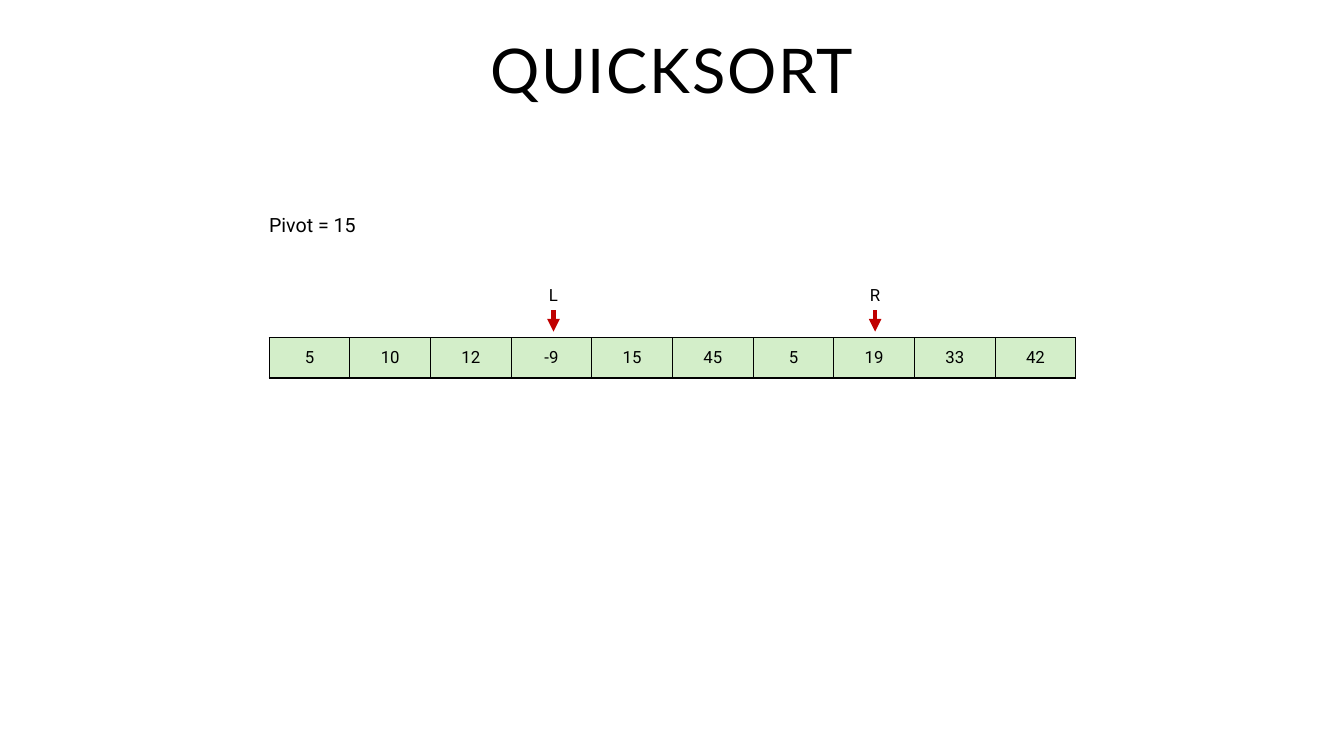
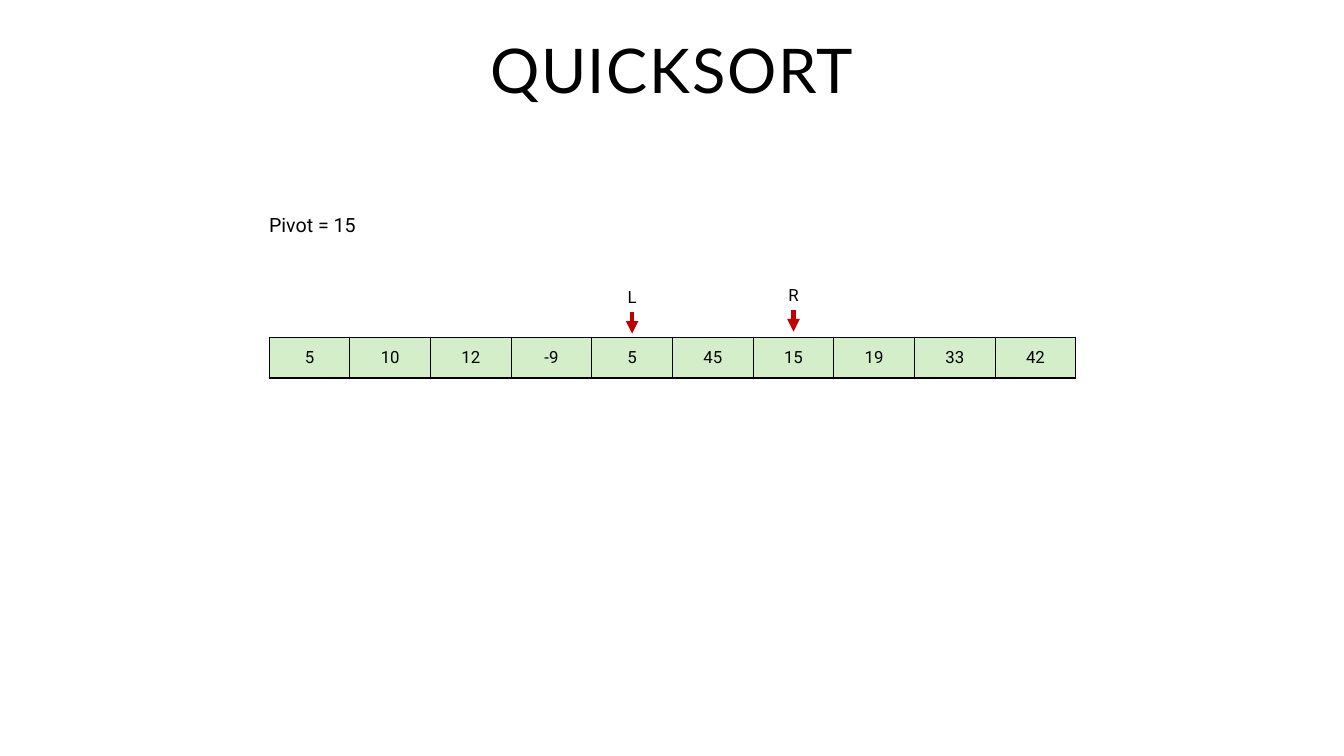
from dataclasses import dataclass

from lxml import etree
from pptx import Presentation
from pptx.dml.color import RGBColor
from pptx.enum import shapes, text
from pptx.oxml import ns
from pptx.util import Inches, Pt


@dataclass(frozen=True)
class Theme:
    """Colours, fonts and type sizes shared by the slides."""
    ink: str = "000000"
    cell: str = "D3EEC9"
    arrow: str = "C00000"
    title_font: str = "Lato"
    body_font: str = "Roboto"
    title_size: int = 44
    note_size: int = 14
    label_size: int = 12


THEME = Theme()
ARRAY_LEFT, ARRAY_TOP, CELL_W, CELL_H = 2.67, 3.35, 0.8, 0.4


def write(tf, content, size=THEME.label_size, font=THEME.body_font,
          align=text.PP_ALIGN.LEFT, spacing=None, tracking=None):
    """Write one formatted paragraph into a text frame."""
    p = tf.paragraphs[0]
    p.alignment, p.line_spacing = align, spacing
    r = p.add_run()
    r.text = content
    r.font.size, r.font.name = Pt(size), font
    r.font.color.rgb = RGBColor.from_string(THEME.ink)
    if tracking:
        r.font._element.set("spc", str(int(tracking * 100)))


def add_title(s, content):
    """Place and fill the title placeholder."""
    sp = s.shapes.title
    sp.left, sp.top = Inches(1.05), Inches(0.35)
    sp.width, sp.height = Inches(11.23), Inches(0.72)
    tf = sp.text_frame
    tf.auto_size = text.MSO_AUTO_SIZE.NONE
    tf.vertical_anchor = text.MSO_ANCHOR.TOP
    write(tf, content, size=THEME.title_size, font=THEME.title_font,
          align=text.PP_ALIGN.CENTER, spacing=0.9, tracking=1.2)


def add_text(s, content, left, top, width, height, wrap=True, **fmt):
    """Add a text box holding one paragraph."""
    sp = s.shapes.add_textbox(*map(Inches, (left, top, width, height)))
    tf = sp.text_frame
    tf.word_wrap = wrap
    write(tf, content, **fmt)


def add_borders(cell, width=1):
    """Draw a solid line on each side of a table cell."""
    tc_pr = cell._tc.get_or_add_tcPr()
    for side in ("a:lnL", "a:lnR", "a:lnT", "a:lnB"):
        ln = etree.SubElement(tc_pr, ns.qn(side), w=str(Pt(width)))
        fill = etree.SubElement(ln, ns.qn("a:solidFill"))
        etree.SubElement(fill, ns.qn("a:srgbClr"), val=THEME.ink)


def add_array(s, values):
    """Show the values as a one-row table."""
    sp = s.shapes.add_table(1, len(values), Inches(ARRAY_LEFT), Inches(ARRAY_TOP),
                            Inches(CELL_W * len(values)), Inches(CELL_H))
    table = sp.table
    table.first_row = table.horz_banding = False
    for column, cell, value in zip(table.columns, table.rows[0].cells, values):
        column.width = Inches(CELL_W)
        add_borders(cell)
        cell.fill.solid()
        cell.fill.fore_color.rgb = RGBColor.from_string(THEME.cell)
        cell.vertical_anchor = text.MSO_ANCHOR.MIDDLE
        write(cell.text_frame, str(value), align=text.PP_ALIGN.CENTER)


def add_pointer(s, label, index, dx=0, dy=0):
    """Mark an array index with a label and a downward arrow."""
    x = ARRAY_LEFT + (index + 0.5) * CELL_W + dx
    y = ARRAY_TOP - 0.27 + dy
    add_text(s, label, x - 0.15, y - 0.3, 0.3, 0.3, wrap=False,
             align=text.PP_ALIGN.CENTER)
    arrow = s.shapes.add_connector(shapes.MSO_CONNECTOR.STRAIGHT, Inches(x),
                                   Inches(y), Inches(x), Inches(y + 0.21))
    arrow.line.width = Pt(3)
    arrow.line.color.rgb = RGBColor.from_string(THEME.arrow)
    etree.SubElement(arrow.line._get_or_add_ln(), ns.qn("a:tailEnd"), type="triangle")
    etree.SubElement(arrow._element.spPr, ns.qn("a:effectLst"))


def add_step(prs, values, pivot, pointers):
    """Build one slide showing a step of the partitioning."""
    s = prs.slides.add_slide(prs.slide_layouts[5])
    add_title(s, "QUICKSORT")
    add_text(s, f"Pivot = {pivot}", 2.57, 2.06, 1.19, 0.34, size=THEME.note_size)
    add_array(s, values)
    for pointer in pointers:
        add_pointer(s, **pointer)


def main():
    """Build and save the presentation."""
    prs = Presentation()
    prs.slide_width, prs.slide_height = Inches(13.33), Inches(7.5)
    add_step(prs, [5, 10, 12, -9, 15, 45, 5, 19, 33, 42], 15,
             [dict(label="L", index=3, dx=0.02), dict(label="R", index=7, dx=0.01)])
    add_step(prs, [5, 10, 12, -9, 5, 45, 15, 19, 33, 42], 15,
             [dict(label="L", index=4, dy=0.02), dict(label="R", index=6)])
    prs.save("out.pptx")


if __name__ == "__main__":
    main()
